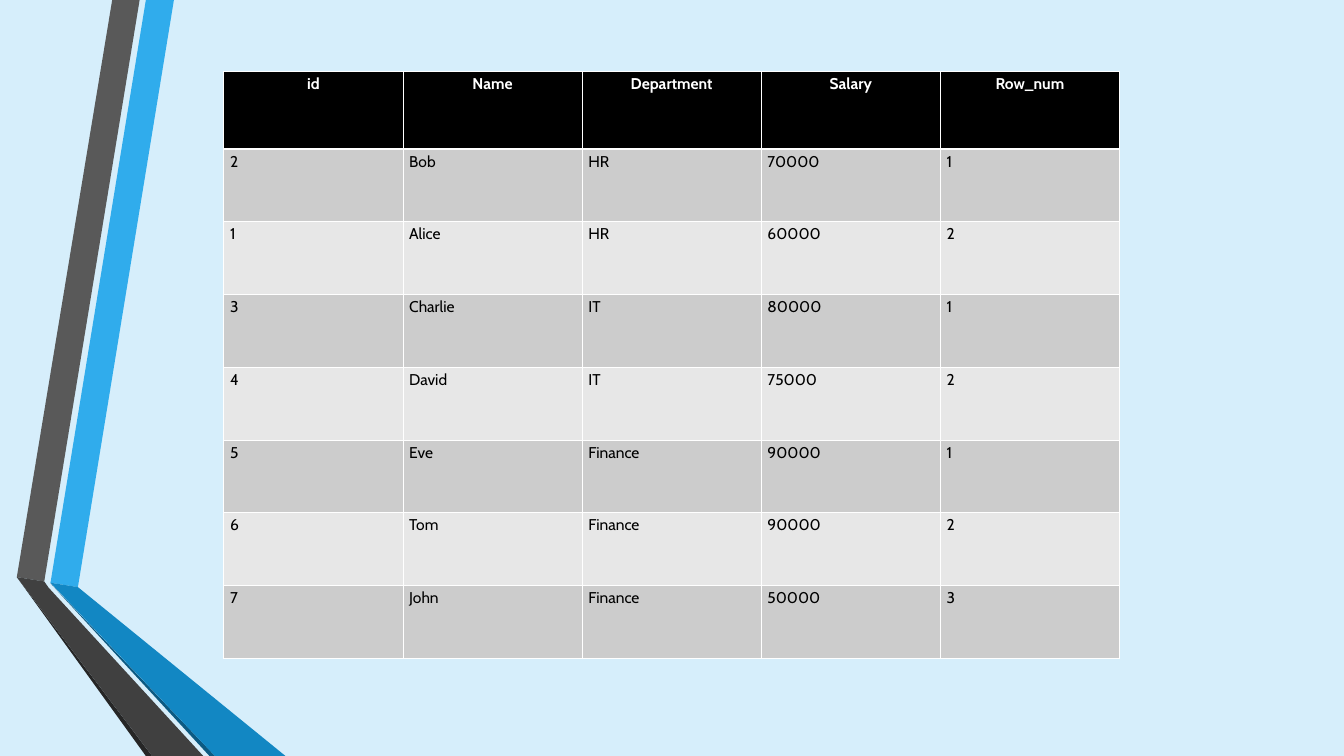
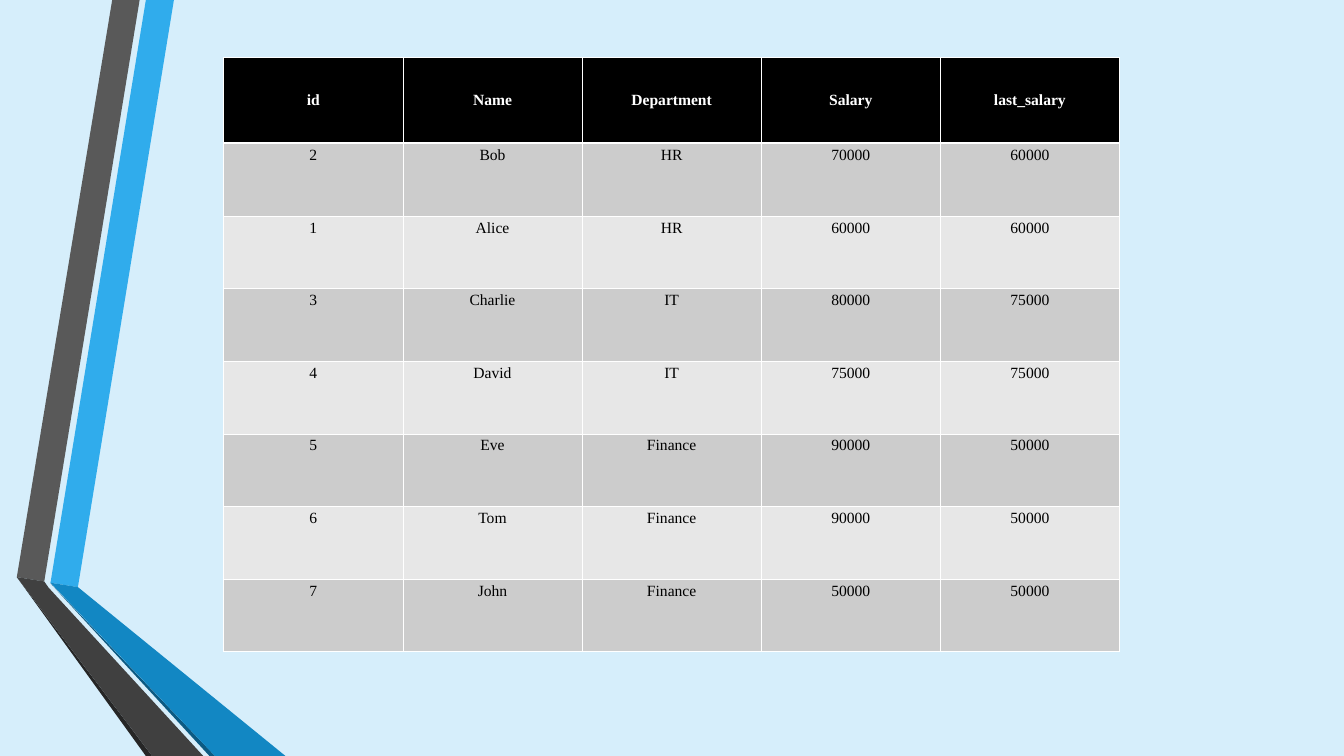
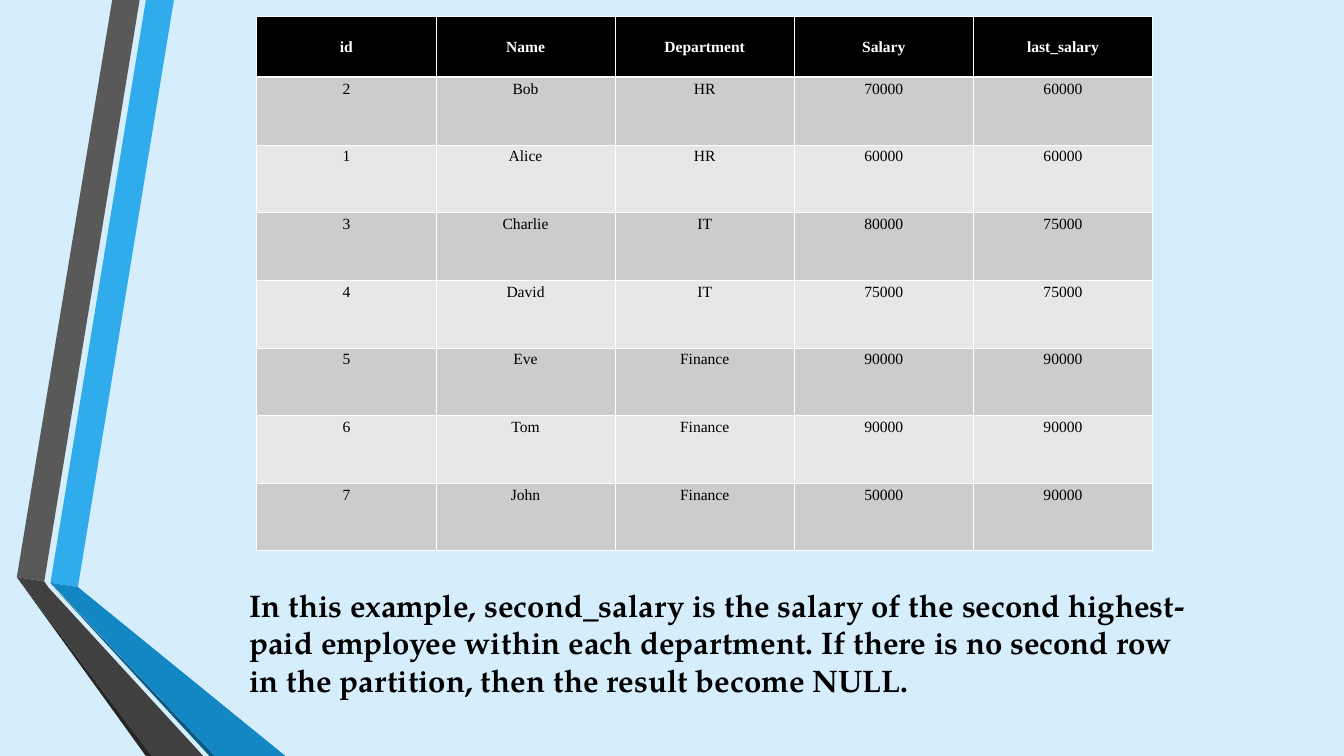
from lxml.etree import SubElement
from pptx import Presentation
from pptx.dml.color import RGBColor
from pptx.enum.text import MSO_ANCHOR, PP_ALIGN
from pptx.oxml.ns import qn
from pptx.util import Emu, Pt

PX = 9144
WIDTH, HEIGHT = 2156, 1213
TABLE_WIDTH = 1437

BLACK = RGBColor(0x00, 0x00, 0x00)
WHITE = RGBColor(0xFF, 0xFF, 0xFF)
PALE_BLUE = RGBColor(0xD6, 0xEE, 0xFB)
SKY = RGBColor(0x30, 0xAC, 0xEC)
BLUE = RGBColor(0x12, 0x87, 0xC3)
NAVY = RGBColor(0x0C, 0x5A, 0x82)
GREY = RGBColor(0x59, 0x59, 0x59)
DARK_GREY = RGBColor(0x40, 0x40, 0x40)
CHARCOAL = RGBColor(0x26, 0x26, 0x26)
BANDS = (RGBColor(0xCC, 0xCC, 0xCC), RGBColor(0xE7, 0xE7, 0xE7))

SERIF = "Times New Roman"
SANS = "Cabin"
BOOK = "TeX Gyre Pagella"

RIBBONS = (
    (SKY, ((81, 935), (125, 942), (279, 0), (234, 0))),
    (GREY, ((224, 0), (180, 0), (27, 926), (71, 933))),
    (CHARCOAL, ((27, 926), (234, HEIGHT), (244, HEIGHT))),
    (NAVY, ((81, 936), (336, HEIGHT), (345, HEIGHT))),
    (BLUE, ((81, 935), (345, HEIGHT), (458, HEIGHT), (125, 942))),
    (DARK_GREY, ((326, HEIGHT), (78, 943), (71, 933), (27, 926), (244, HEIGHT))),
)

EMPLOYEES = (
    ("2", "Bob", "HR", "70000"),
    ("1", "Alice", "HR", "60000"),
    ("3", "Charlie", "IT", "80000"),
    ("4", "David", "IT", "75000"),
    ("5", "Eve", "Finance", "90000"),
    ("6", "Tom", "Finance", "90000"),
    ("7", "John", "Finance", "50000"),
)
HEADINGS = ("id", "Name", "Department", "Salary")


def px(n):
    return Emu(round(n * PX))


class Deck:
    def __init__(self):
        self.prs = Presentation()
        self.prs.slide_width, self.prs.slide_height = px(WIDTH), px(HEIGHT)
        fill = self.prs.slide_master.background.fill
        fill.solid()
        fill.fore_color.rgb = PALE_BLUE
        self.s = None

    def slide(self):
        self.s = self.prs.slides.add_slide(self.prs.slide_layouts[6])
        for color, points in RIBBONS:
            self.polygon(color, points)

    def polygon(self, color, points):
        builder = self.s.shapes.build_freeform(*points[0], scale=PX)
        builder.add_line_segments(points[1:], close=True)
        sp = builder.convert_to_shape()
        sp.shadow.inherit = False
        sp.fill.solid()
        sp.fill.fore_color.rgb = color
        sp.line.fill.background()

    def add_text_run(self, p, text, font, size, color, bold, align=PP_ALIGN.LEFT):
        p.alignment = align
        r = p.add_run()
        r.text = text
        r.font.name, r.font.size = font, Pt(size)
        r.font.bold, r.font.color.rgb = bold, color

    def borders(self, cell, top, bottom):
        tc_pr = cell._tc.get_or_add_tcPr()
        sides = (("a:lnL", 1), ("a:lnR", 1), ("a:lnT", top), ("a:lnB", bottom))
        for i, (tag, width) in enumerate(sides):
            ln = SubElement(tc_pr, qn(tag), w=str(Pt(width)))
            solid = SubElement(ln, qn("a:solidFill"))
            SubElement(solid, qn("a:srgbClr"), val=str(WHITE))
            tc_pr.insert(i, ln)

    def table(self, left, top, height, header_height, last_heading, last_values,
              font=SERIF, body_align=PP_ALIGN.CENTER, header_anchor=MSO_ANCHOR.MIDDLE):
        rows = [HEADINGS + (last_heading,)]
        rows += [person + (value,) for person, value in zip(EMPLOYEES, last_values)]
        count = len(rows[0])
        table = self.s.shapes.add_table(
            len(rows), count, px(left), px(top), px(TABLE_WIDTH), px(height)).table
        table.horz_banding = False
        for column in table.columns:
            column.width = px(TABLE_WIDTH / count)
        row_height = (height - header_height) / len(EMPLOYEES)
        for i, values in enumerate(rows):
            header = i == 0
            table.rows[i].height = px(header_height if header else row_height)
            for j, text in enumerate(values):
                cell = table.cell(i, j)
                cell.fill.solid()
                cell.fill.fore_color.rgb = BLACK if header else BANDS[(i - 1) % 2]
                cell.vertical_anchor = header_anchor if header else MSO_ANCHOR.TOP
                self.borders(cell, 3 if i == 1 else 1, 3 if header else 1)
                self.add_text_run(cell.text_frame.paragraphs[0], text, font, 18,
                                  WHITE if header else BLACK, header,
                                  PP_ALIGN.CENTER if header else body_align)

    def text(self, left, top, width, height, text):
        tf = self.s.shapes.add_textbox(px(left), px(top), px(width), px(height)).text_frame
        tf.word_wrap = True
        self.add_text_run(tf.paragraphs[0], text, BOOK, 36, BLACK, True)


def main():
    deck = Deck()

    deck.slide()
    deck.table(359, 114, 942, 125, "Row_num", ("1", "2", "1", "2", "1", "2", "3"),
               SANS, PP_ALIGN.LEFT, MSO_ANCHOR.TOP)

    deck.slide()
    deck.table(359, 92, 954, 138, "last_salary",
               ("60000",) * 2 + ("75000",) * 2 + ("50000",) * 3)

    deck.slide()
    deck.table(412, 26, 858, 98, "last_salary",
               ("60000",) * 2 + ("75000",) * 2 + ("90000",) * 3)
    deck.text(390, 936, 1543, 192,
              "In this example, second_salary is the salary of the second highest-paid "
              "employee within each department. If there is no second row in the "
              "partition, then the result become NULL.")

    deck.prs.save("out.pptx")


if __name__ == "__main__":
    main()
